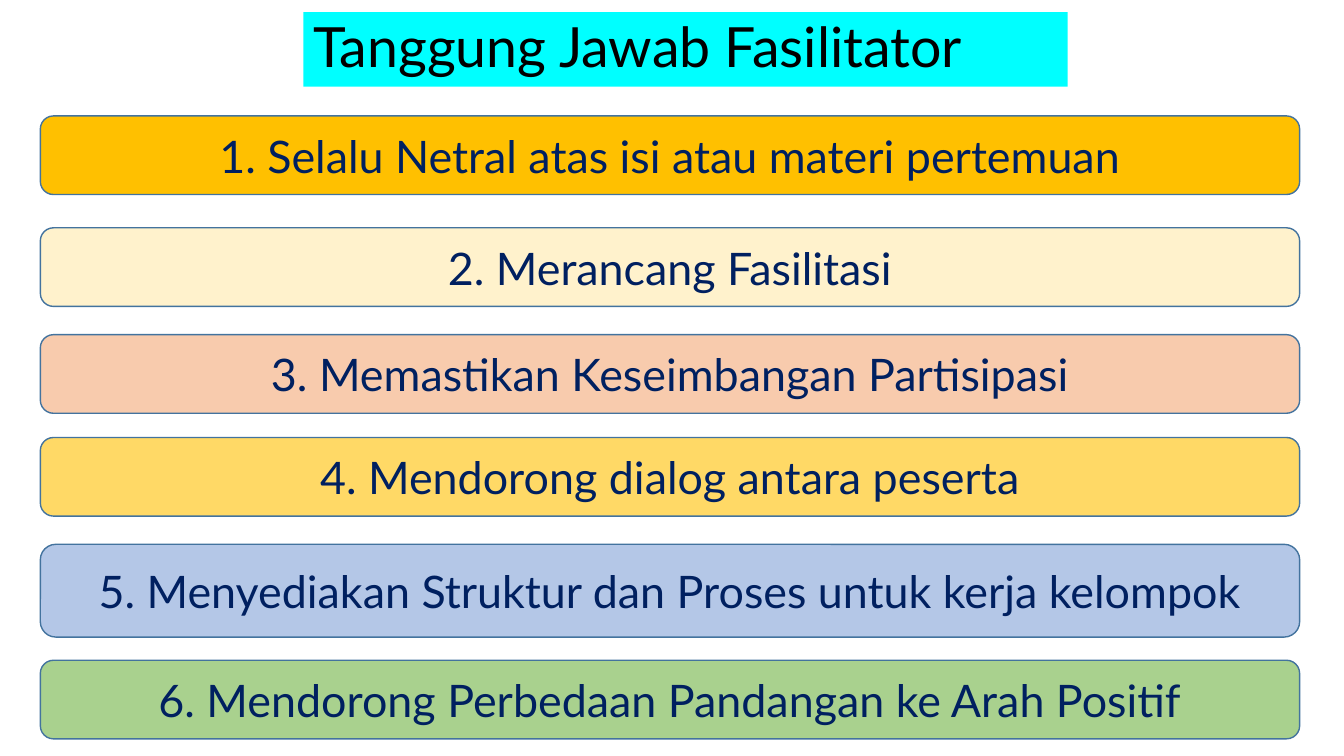
from dataclasses import dataclass

from pptx import Presentation
from pptx.dml.color import RGBColor
from pptx.enum.shapes import MSO_SHAPE
from pptx.enum.text import MSO_ANCHOR, PP_ALIGN
from pptx.util import Emu, Pt

RECT = MSO_SHAPE.RECTANGLE
ROUNDED = MSO_SHAPE.ROUNDED_RECTANGLE
LEFT = PP_ALIGN.LEFT
CENTER = PP_ALIGN.CENTER
MIDDLE = MSO_ANCHOR.MIDDLE

EMU_PER_PX = 9144
FONT = "Lato"
BAR_LEFT, BAR_WIDTH, BAR_HEIGHT = 40, 1249, 78

COLORS = {
    "cyan": "00FFFF",
    "black": "000000",
    "navy": "002060",
    "outline": "43739E",
    "amber": "FFC000",
    "cream": "FFF2CC",
    "peach": "F8CBAD",
    "yellow": "FFD966",
    "blue": "B4C7E7",
    "green": "A9D18E",
}


@dataclass(frozen=True)
class Duty:
    text: str
    top: int
    fill: str
    height: int = BAR_HEIGHT


DUTIES = [
    Duty("Selalu Netral atas isi atau materi pertemuan", 115, "amber"),
    Duty("Merancang Fasilitasi", 226, "cream"),
    Duty("Memastikan Keseimbangan Partisipasi", 332, "peach"),
    Duty("Mendorong dialog antara peserta", 434, "yellow"),
    Duty("Menyediakan Struktur dan Proses untuk kerja kelompok", 540, "blue", 92),
    Duty("Mendorong Perbedaan Pandangan ke Arah Positif", 655, "green"),
]


def px(n: int) -> Emu:
    return Emu(n * EMU_PER_PX)


def rgb(name: str) -> RGBColor:
    return RGBColor.from_string(COLORS[name])


def add_box(slide, kind, box: tuple[int, int, int, int], fill: str, text: str,
            size: float, color: str, align):
    sp = slide.shapes.add_shape(kind, *map(px, box))
    sp.shadow.inherit = False
    sp.fill.solid()
    sp.fill.fore_color.rgb = rgb(fill)
    tf = sp.text_frame
    tf.word_wrap = True
    tf.vertical_anchor = MIDDLE
    tf.text = text
    p = tf.paragraphs[0]
    p.alignment = align
    r = p.runs[0]
    r.font.name = FONT
    r.font.size = Pt(size)
    r.font.color.rgb = rgb(color)
    return sp


def add_title(slide, text: str) -> None:
    sp = add_box(slide, RECT, (301, 12, 758, 74), "cyan", text, 39.6, "black", LEFT)
    sp.line.fill.background()
    sp.text_frame.paragraphs[0].line_spacing = 0.9


def add_duty(slide, number: int, duty: Duty) -> None:
    box = (BAR_LEFT, duty.top, BAR_WIDTH, duty.height)
    sp = add_box(slide, ROUNDED, box, duty.fill, f"{number}. {duty.text}", 32, "navy", CENTER)
    sp.line.color.rgb = rgb("outline")
    sp.line.width = Pt(1)


def main() -> None:
    prs = Presentation()
    prs.slide_width, prs.slide_height = px(1333), px(750)
    slide = prs.slides.add_slide(prs.slide_layouts[6])
    add_title(slide, "Tanggung Jawab Fasilitator")
    for number, duty in enumerate(DUTIES, start=1):
        add_duty(slide, number, duty)
    prs.save("out.pptx")


if __name__ == "__main__":
    main()
